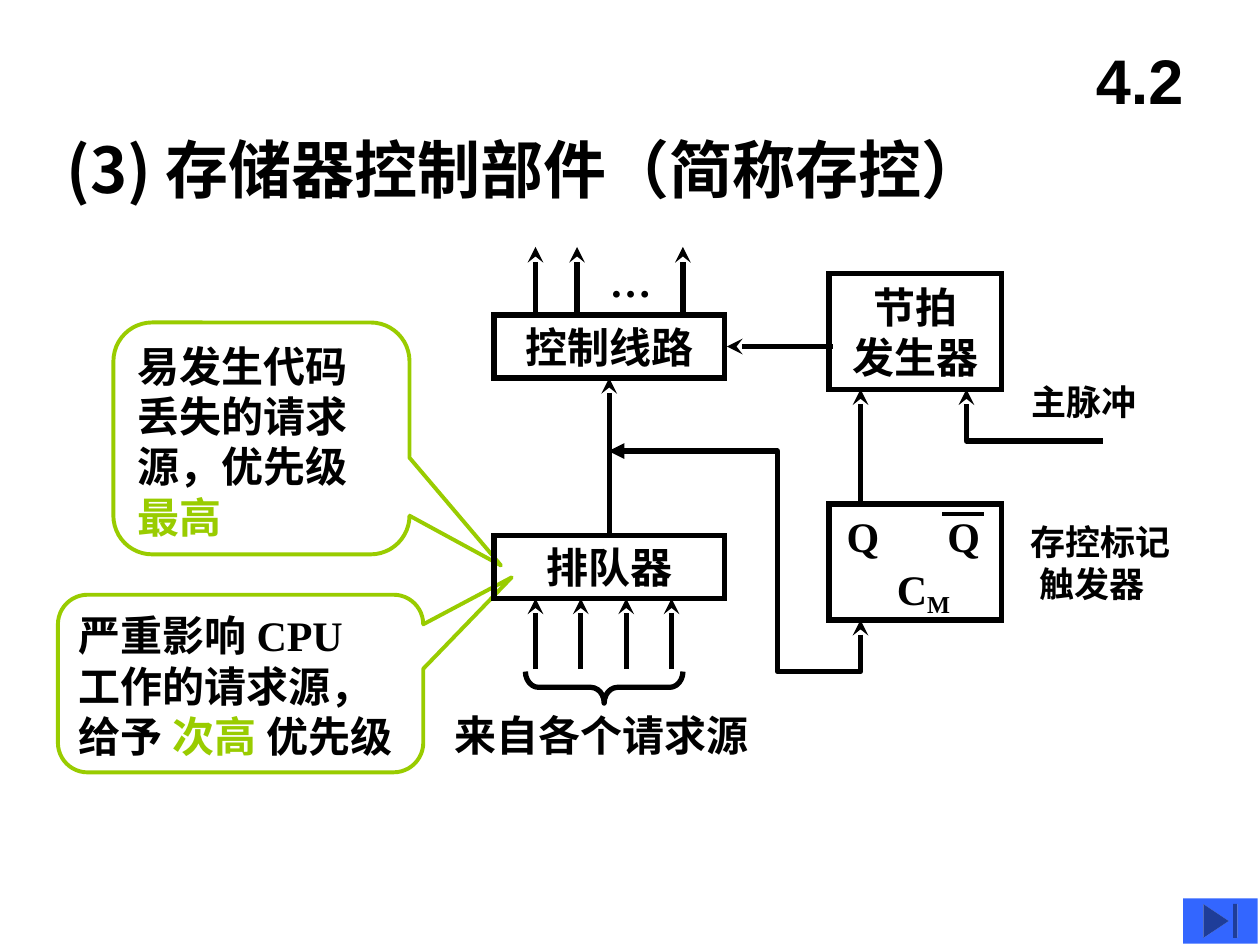
from lxml import etree
from pptx import Presentation
from pptx.dml.color import RGBColor
from pptx.enum.shapes import MSO_CONNECTOR, MSO_SHAPE
from pptx.enum.text import MSO_ANCHOR, PP_ALIGN
from pptx.oxml.ns import qn
from pptx.util import Inches, Pt

COLORS = {"ink": "000000", "accent": "99CC00", "button": "3366FF"}
SERIF, SANS, CJK = "Times New Roman", "Arial", "Noto Sans CJK SC"

# Content: each paragraph is a list of (text, colour name) runs
CALLOUTS = [
    ((0.9, 2.56, 2.35, 1.84), (0.809, 0.548, 0.167),
     [[("易发生代码", "ink")], [("丢失的请求源，优先级", "ink")], [("最高", "accent")]]),
    ((0.46, 4.72, 2.9, 1.41), (0.742, -0.598, 0.167),
     [[("严重影响 CPU", "ink")], [("工作的请求源，", "ink")],
      [("给予 ", "ink"), ("次高 ", "accent"), ("优先级", "ink")]]),
]
BLOCKS = {
    "control": ((3.92, 2.5, 1.83, 0.5), ["控制线路"]),
    "queue": ((3.92, 4.25, 1.83, 0.5), ["排队器"]),
    "clock": ((6.58, 2.17, 1.37, 0.92), ["节拍", "发生器"]),
    "flag": ((6.58, 4, 1.37, 0.92), []),
}
LABELS = [  # box, lines, size
    ((6.62, 4, 0.48, 0.5), ["Q"], 24),
    ((7.42, 4, 0.48, 0.5), ["Q"], 24),
    ((3.51, 5.58, 2.6, 0.5), ["来自各个请求源"], 24),
    ((4.74, 1.98, 0.56, 0.5), ["…"], 24),
    ((8.09, 2.97, 1.2, 0.44), ["主脉冲"], 20),
]
OUTPUT_XS = [4.25, 4.58, 5.42]
REQUEST_XS = [4.25 + 0.36 * i for i in range(4)]
ARROWS = (
    [((x, 2.52), (x, 1.96)) for x in OUTPUT_XS]
    + [((x, 5.31), (x, 4.75)) for x in REQUEST_XS]
    + [((6.83, 4), (6.83, 3.09)), ((6.61, 2.75), (5.77, 2.75))]
)
BENT_ARROWS = [  # points, arrowhead at start, arrowhead at end
    ([(8.75, 3.5), (7.67, 3.5), (7.67, 3.09)], None, "stealth"),
    ([(6.83, 4.92), (6.83, 5.33), (6.17, 5.33), (6.17, 3.58), (4.83, 3.58)],
     "stealth", "triangle"),
]

presentation = Presentation()
presentation.slide_width, presentation.slide_height = Inches(10), Inches(7.5)
slide = presentation.slides.add_slide(presentation.slide_layouts[6])


def color(name):
    return RGBColor.from_string(COLORS[name])


def format_run(run, size, name="ink", font=SERIF):
    run.font.size, run.font.bold, run.font.name = Pt(size), True, font
    run.font.color.rgb = color(name)
    east_asian = etree.SubElement(run._r.get_or_add_rPr(), qn("a:ea"))
    east_asian.set("typeface", CJK)


def write(shape, paragraphs, size=24, align=PP_ALIGN.LEFT, anchor=MSO_ANCHOR.TOP,
          wrap=True, font=SERIF):
    frame = shape.text_frame
    frame.word_wrap, frame.vertical_anchor = wrap, anchor
    for index, runs in enumerate(paragraphs):
        paragraph = frame.add_paragraph() if index else frame.paragraphs[0]
        paragraph.alignment = align
        for text, name in runs:
            run = paragraph.add_run()
            run.text = text
            format_run(run, size, name, font)


def plain(lines):
    return [[(line, "ink")] for line in lines]


def add_text(box, lines, size=24, **options):
    shape = slide.shapes.add_textbox(*map(Inches, box))
    write(shape, plain(lines), size, **options)
    return shape


def style_line(shape, name="ink", width=3, head=None, tail=None):
    shape.line.color.rgb, shape.line.width = color(name), Pt(width)
    line = shape.line._get_or_add_ln()
    for tag, kind in (("a:headEnd", head), ("a:tailEnd", tail)):
        if kind:
            etree.SubElement(line, qn(tag)).set("type", kind)


def add_outline(kind, box, name="ink", width=3):
    shape = slide.shapes.add_shape(kind, *map(Inches, box))
    shape.shadow.inherit = False
    shape.fill.background()
    style_line(shape, name, width)
    return shape


def add_line(start, end, width=3, tail=None):
    connector = slide.shapes.add_connector(
        MSO_CONNECTOR.STRAIGHT, *map(Inches, (*start, *end)))
    style_line(connector, width=width, tail=tail)
    etree.SubElement(connector._element.spPr, qn("a:effectLst"))
    return connector


# Title
add_text((0.43, 0.99, 8.25, 0.7), ["(3) 存储器控制部件（简称存控）"], 36, font=CJK)

# Callouts
for box, adjustments, paragraphs in CALLOUTS:
    callout = add_outline(MSO_SHAPE.ROUNDED_RECTANGULAR_CALLOUT, box, "accent", 2.25)
    for index, value in enumerate(adjustments):
        callout.adjustments[index] = value
    write(callout, paragraphs)

# Blocks with sharp corners
blocks = {}
for key, (box, lines) in BLOCKS.items():
    blocks[key] = add_outline(MSO_SHAPE.RECTANGLE, box)
    etree.SubElement(blocks[key].line._get_or_add_ln(), qn("a:miter")).set("lim", "800000")
    write(blocks[key], plain(lines), align=PP_ALIGN.CENTER,
          anchor=MSO_ANCHOR.MIDDLE, wrap=False)

# Labels
for box, lines, size in LABELS:
    add_text(box, lines, size)
flag_label = add_text((8.08, 4.08, 1.8, 0.77), ["存控标记", "触发器"], 20)
flag_label.text_frame.paragraphs[1]._p.get_or_add_pPr().set("marL", str(Inches(0.07)))

# Flip-flop name with subscript, and the bar over the second Q
flag_name = add_text((7.02, 4.42, 0.62, 0.54), ["C"], wrap=False)
subscript = flag_name.text_frame.paragraphs[0].add_run()
subscript.text = "M"
format_run(subscript, 24)
subscript._r.get_or_add_rPr().set("baseline", "-20000")
add_line((7.48, 4.08), (7.81, 4.08), 2.25)

# Straight arrows
for start, end in ARROWS:
    add_line(start, end, tail="stealth")
queue_arrow = add_line((4.83, 4.25), (4.83, 3), tail="stealth")
queue_arrow.begin_connect(blocks["queue"], 0)
queue_arrow.end_connect(blocks["control"], 2)

# Bent arrows
for points, head, tail in BENT_ARROWS:
    corners = [tuple(map(Inches, point)) for point in points]
    builder = slide.shapes.build_freeform(*corners[0])
    builder.add_line_segments(corners[1:], close=False)
    bent_arrow = builder.convert_to_shape()
    bent_arrow.shadow.inherit = False
    bent_arrow.fill.background()
    style_line(bent_arrow, head=head, tail=tail)

# Brace under the request arrows
brace = add_outline(MSO_SHAPE.LEFT_BRACE, (4.67, 4.83, 0.25, 1.25))
brace.rotation = 270
brace.adjustments[0] = 0.42

# Navigation button
button = add_outline(MSO_SHAPE.ACTION_BUTTON_END, (9.39, 7.13, 0.59, 0.36))
button.fill.solid()
button.fill.fore_color.rgb = color("button")
button.line.fill.background()

# Section number
add_text((8.42, 0.17, 1.25, 0.92), ["4.2"], 36, align=PP_ALIGN.CENTER,
         anchor=MSO_ANCHOR.MIDDLE, font=SANS)

presentation.save("out.pptx")
